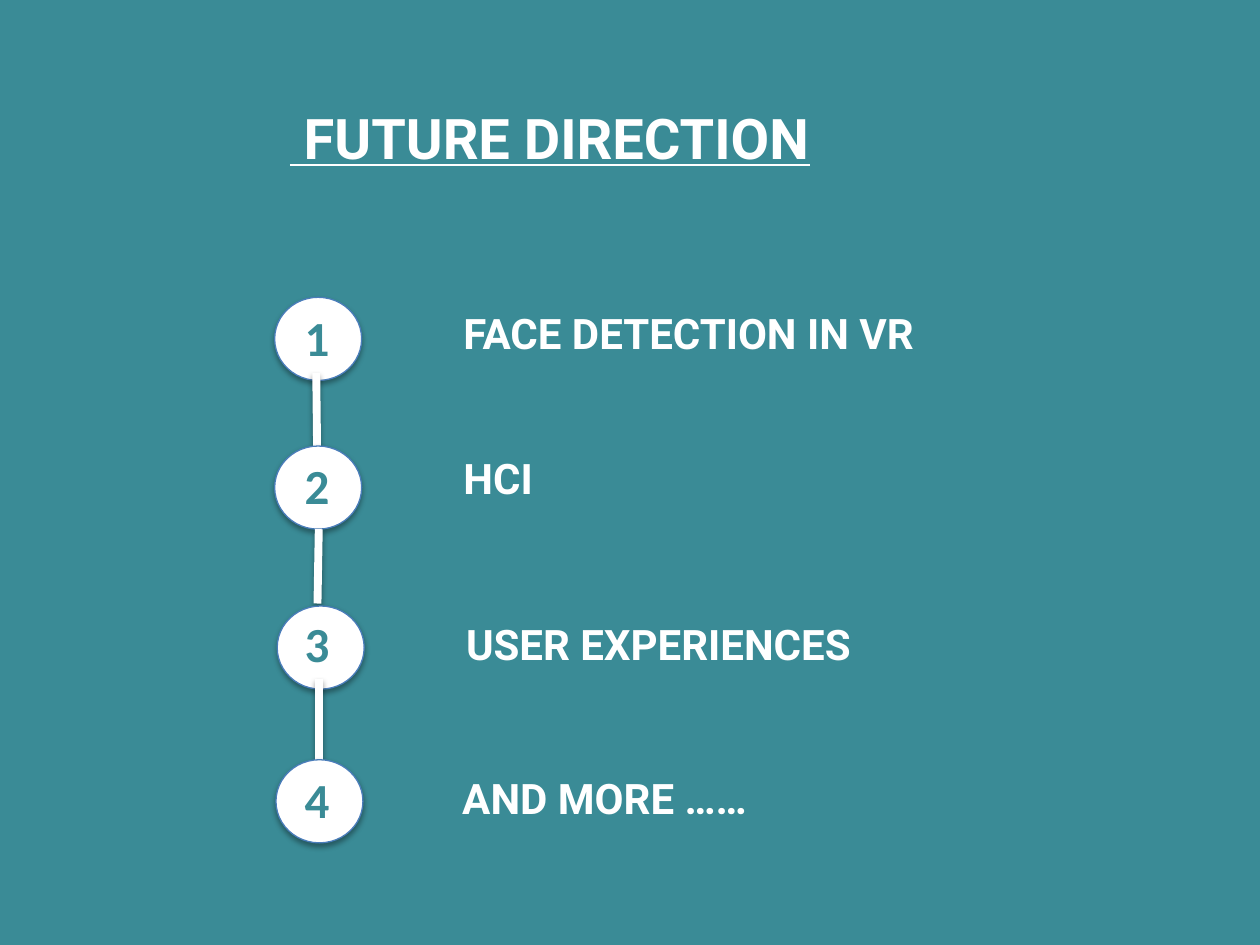
from pptx import Presentation
from pptx.dml.color import RGBColor
from pptx.enum import shapes, text
from pptx.util import Inches, Pt

COLORS = {"teal": "3A8B96", "white": "FFFFFF", "outline": "4A7DBA"}

# number top, circle left and top, label left, top and height
STEPS = [
    ("FACE DETECTION IN VR", 2.39, (2.18, 2.36), (3.58, 2.39, 0.5)),
    ("HCI", 3.57, (2.18, 3.54), (3.58, 3.54, 0.5)),
    ("USER EXPERIENCES", 4.82, (2.2, 4.81), (3.6, 4.86, 0.64)),
    ("AND MORE ……", 6.06, (2.19, 6.03), (3.57, 6.08, 0.64)),
]
# each link runs from one circle to the next
LINKS = [
    (2.51, 2.96, 2.52, 3.84),
    (2.53, 4.2, 2.52, 4.79),
    (2.53, 5.39, 2.53, 6.03),
]


def color(name):
    return RGBColor.from_string(COLORS[name])


class SlideBuilder:
    """Holds the current slide and draws its elements in one style."""

    heading_font = "Roboto"
    number_font = "Calibri"

    def __init__(self, slide):
        self.slide = slide

    def set_text(self, shape, words, size, font, color_name):
        frame = shape.text_frame
        frame.word_wrap = True
        frame.auto_size = text.MSO_AUTO_SIZE.NONE
        frame.vertical_anchor = text.MSO_ANCHOR.TOP
        frame.text = words
        paragraph = frame.paragraphs[0]
        paragraph.alignment = text.PP_ALIGN.LEFT
        paragraph.font.name = font
        paragraph.font.size = Pt(size)
        paragraph.font.bold = True
        paragraph.font.color.rgb = color(color_name)
        return paragraph

    def shape(self, kind, box, fill, line):
        shape = self.slide.shapes.add_shape(kind, *map(Inches, box))
        shape.fill.solid()
        shape.fill.fore_color.rgb = color(fill)
        shape.line.color.rgb = color(line)
        shape.line.width = Pt(0.75)
        return shape

    def backdrop(self):
        panel = self.shape(shapes.MSO_SHAPE.RECTANGLE, (0, 0, 10, 7.5), "teal", "teal")
        panel.shadow.inherit = False

    def title(self, words):
        title = self.slide.shapes.title
        title.left, title.top = Inches(2.2), Inches(0.77)
        title.width, title.height = Inches(4.86), Inches(0.64)
        paragraph = self.set_text(title, words, 32, self.heading_font, "white")
        paragraph.font.underline = True
        # Bring the title in front of the backdrop
        self.slide.shapes._spTree.append(title._element)

    def circle(self, left, top):
        """Draw a disc for a number, keeping the theme's soft shadow."""
        self.shape(shapes.MSO_SHAPE.OVAL, (left, top, 0.69, 0.66), "white", "outline")

    def label(self, words, box, size, font, color_name):
        label = self.slide.shapes.add_textbox(*map(Inches, box))
        self.set_text(label, words, size, font, color_name)

    def link(self, ends):
        """Draw a thick link, keeping the theme's soft shadow."""
        link = self.slide.shapes.add_connector(
            shapes.MSO_CONNECTOR.STRAIGHT, *map(Inches, ends))
        link.line.color.rgb = color("white")
        link.line.width = Pt(4.5)


def main():
    presentation = Presentation()
    presentation.slide_width, presentation.slide_height = Inches(10), Inches(7.5)
    slide = presentation.slides.add_slide(presentation.slide_layouts[5])
    builder = SlideBuilder(slide)

    builder.backdrop()
    builder.title(" FUTURE DIRECTION")
    for index, (_, number_top, circle, _) in enumerate(STEPS):
        builder.circle(*circle)
        builder.label(str(index + 1), (2.32, number_top, 0.4, 0.57), 28,
                      builder.number_font, "teal")
        if index < len(LINKS):
            builder.link(LINKS[index])
    for words, _, _, (left, top, height) in STEPS:
        builder.label(words, (left, top, 4.12, height), 24,
                      builder.heading_font, "white")

    presentation.save("out.pptx")


if __name__ == "__main__":
    main()
